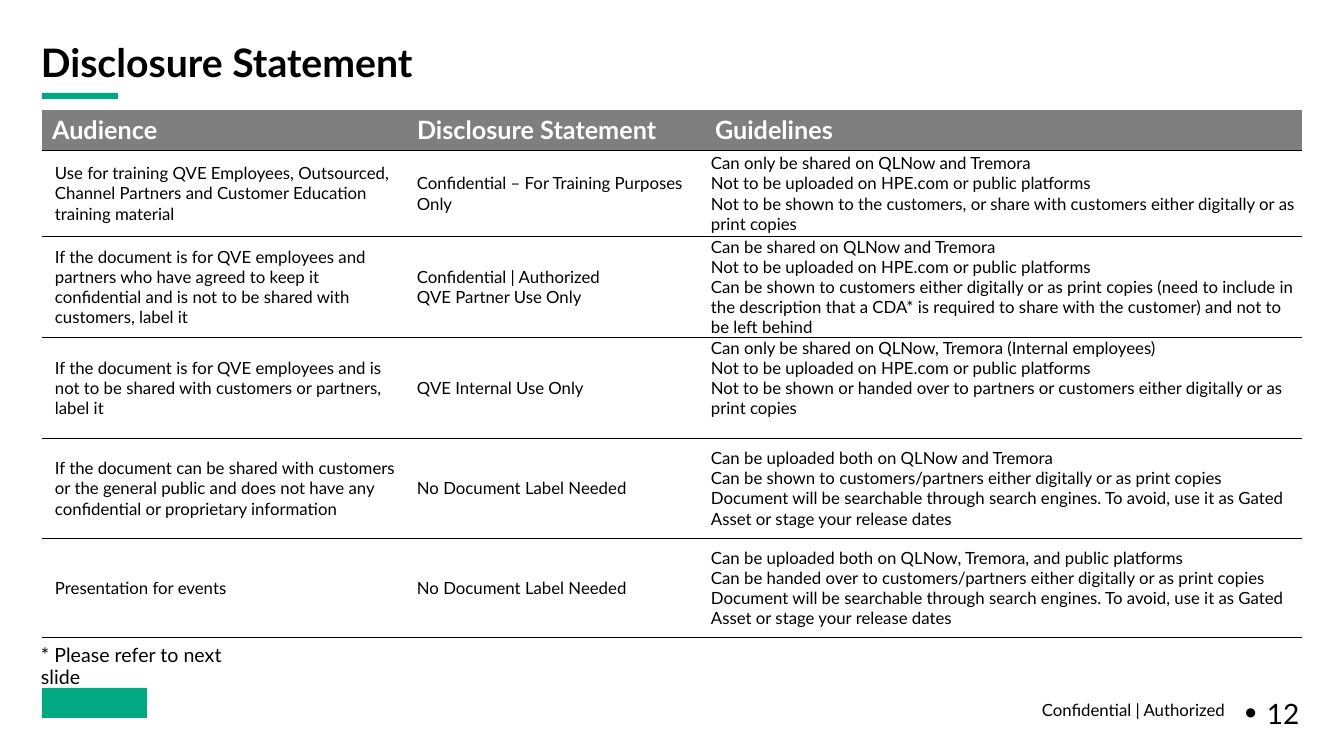
import pptx
import pptx.util
import pptx.dml.color
import pptx.enum.shapes
import pptx.enum.text
import pptx.oxml.ns
import lxml.etree

PX = 12192000 / 1344
FONT = "Lato"
COLORS = {"green": "01A982", "header": "7F7F7F", "black": "000000", "white": "FFFFFF"}
ALIGN = pptx.enum.text.PP_ALIGN
ANCHOR = pptx.enum.text.MSO_ANCHOR

COLUMN_WIDTHS = [365, 298, 597]
ROW_HEIGHTS = [40, 86, 101, 101, 100, 99]
BODY_INDENTS = [13, 10, 6]
HEADERS = ["Audience", "Disclosure Statement", "Guidelines"]
NO_UPLOAD = "Not to be uploaded on HPE.com or public platforms"
SEARCHABLE = ("Document will be searchable through search engines. "
              "To avoid, use it as Gated Asset or stage your release dates")
ROWS = [
    ("Use for training QVE Employees, Outsourced, Channel Partners and Customer Education "
     "training material",
     "Confidential – For Training Purposes Only",
     ["Can only be shared on QLNow and Tremora", NO_UPLOAD,
      "Not to be shown to the customers, or share with customers either digitally or as "
      "print copies"]),
    ("If the document is for QVE employees and partners who have agreed to keep it "
     "confidential and is not to be shared with customers, label it",
     "Confidential | Authorized\nQVE Partner Use Only",
     ["Can be shared on QLNow and Tremora", NO_UPLOAD,
      "Can be shown to customers either digitally or as print copies (need to include in the "
      "description that a CDA* is required to share with the customer) and not to be left "
      "behind"]),
    ("If the document is for QVE employees and is not to be shared with customers or "
     "partners, label it",
     "QVE Internal Use Only",
     ["Can only be shared on QLNow, Tremora (Internal employees)", NO_UPLOAD,
      "Not to be shown or handed over to partners or customers either digitally or as "
      "print copies"]),
    ("If the document can be shared with customers or the general public and does not have "
     "any confidential or proprietary information",
     "No Document Label Needed",
     ["Can be uploaded both on QLNow and Tremora",
      "Can be shown to customers/partners either digitally or as print copies", SEARCHABLE]),
    ("Presentation for events",
     "No Document Label Needed",
     ["Can be uploaded both on QLNow, Tremora, and public platforms",
      "Can be handed over to customers/partners either digitally or as print copies",
      SEARCHABLE]),
]
RAISED_ROW = 3  # its guidelines sit above the middle of the cell


def px(n):
    return pptx.util.Emu(round(n * PX))


def rgb(name):
    return pptx.dml.color.RGBColor.from_string(COLORS[name])


def add_text(p, text, size, color="black", bold=False):
    """Add one run per line of text, parted by line breaks."""
    for i, line in enumerate(text.split("\n")):
        if i:
            p.add_line_break()
        r = p.add_run()
        r.text = line
        r.font.name = FONT
        r.font.size = pptx.util.Pt(size)
        r.font.bold = bold
        r.font.color.rgb = rgb(color)


def add_rect(s, x, y, w, h, color):
    sp = s.shapes.add_shape(pptx.enum.shapes.MSO_SHAPE.RECTANGLE, px(x), px(y), px(w), px(h))
    sp.shadow.inherit = False
    sp.fill.solid()
    sp.fill.fore_color.rgb = rgb(color)
    sp.line.fill.background()


def add_box(s, x, y, w, h, text, size, anchor=ANCHOR.MIDDLE, align=ALIGN.LEFT, bold=False,
            inset=5, bullet=False):
    sp = s.shapes.add_textbox(px(x), px(y), px(w), px(h))
    tf = sp.text_frame
    tf.word_wrap = True
    tf.vertical_anchor = anchor
    tf.margin_left = tf.margin_right = px(10)
    tf.margin_top = tf.margin_bottom = px(inset)
    p = tf.paragraphs[0]
    p.alignment = align
    p.line_spacing = 0.9
    if bullet:
        add_bullet(p)
    add_text(p, text, size, bold=bold)


def add_bullet(p):
    pPr = p._p.get_or_add_pPr()
    pPr.set("marL", str(px(22)))
    pPr.set("indent", str(-px(22)))
    for tag, key, value in [("a:buSzPct", "val", "120000"), ("a:buFont", "typeface", "Arial"),
                            ("a:buChar", "char", "•")]:
        lxml.etree.SubElement(pPr, pptx.oxml.ns.qn(tag)).set(key, value)


def set_borders(cell, top, bottom):
    """Draw thin rules above and below as asked, and none at the sides."""
    qn = pptx.oxml.ns.qn
    tcPr = cell._tc.get_or_add_tcPr()
    for side, shown in [("L", False), ("R", False), ("T", top), ("B", bottom)]:
        ln = lxml.etree.SubElement(tcPr, qn("a:ln" + side), w=str(pptx.util.Pt(0.5)))
        if shown:
            fill = lxml.etree.SubElement(ln, qn("a:solidFill"))
            lxml.etree.SubElement(fill, qn("a:srgbClr"), val=COLORS["black"])
        else:
            lxml.etree.SubElement(ln, qn("a:noFill"))


def fill_cell(cell, lines, size, color, fill, bold=False):
    cell.vertical_anchor = ANCHOR.MIDDLE
    cell.fill.solid()
    cell.fill.fore_color.rgb = rgb(fill)
    tf = cell.text_frame
    for i, line in enumerate(lines):
        p = tf.add_paragraph() if i else tf.paragraphs[0]
        add_text(p, line, size, color, bold)


def add_disclosure_table(s, x, y):
    frame = s.shapes.add_table(len(ROW_HEIGHTS), len(COLUMN_WIDTHS), px(x), px(y),
                               px(sum(COLUMN_WIDTHS)), px(sum(ROW_HEIGHTS)))
    table = frame.table
    table.first_row = table.horz_banding = False
    for column, width in zip(table.columns, COLUMN_WIDTHS):
        column.width = px(width)
    for row, height in zip(table.rows, ROW_HEIGHTS):
        row.height = px(height)
    for c, header in enumerate(HEADERS):
        cell = table.cell(0, c)
        set_borders(cell, False, True)
        fill_cell(cell, [header], 18, "white", "header", bold=True)
    for r, row in enumerate(ROWS, 1):
        for c, content in enumerate(row):
            cell = table.cell(r, c)
            set_borders(cell, True, True)
            cell.margin_left = px(BODY_INDENTS[c])
            cell.margin_right = cell.margin_top = cell.margin_bottom = 0
            lines = [content] if isinstance(content, str) else content
            fill_cell(cell, lines, 12, "black", "white")
    table.cell(RAISED_ROW, 2).margin_bottom = px(20)


def main():
    prs = pptx.Presentation()
    prs.slide_width, prs.slide_height = px(1344), px(756)
    s = prs.slides.add_slide(prs.slide_layouts[6])
    add_rect(s, 42, 688, 105, 30, "green")
    add_rect(s, 42, 93, 76, 6, "green")
    add_box(s, 410, 675, 825, 45, "Confidential | Authorized", 12, ANCHOR.BOTTOM, ALIGN.RIGHT,
            inset=0)
    add_box(s, 31, 43, 1267, 44, "Disclosure Statement", 28, bold=True, inset=10)
    add_box(s, 31, 641, 218, 31, "* Please refer to next slide", 14, ANCHOR.TOP)
    add_disclosure_table(s, 42, 110)
    add_box(s, 1235, 695, 76, 40, "12", 20, bullet=True)
    prs.save("out.pptx")


if __name__ == "__main__":
    main()
